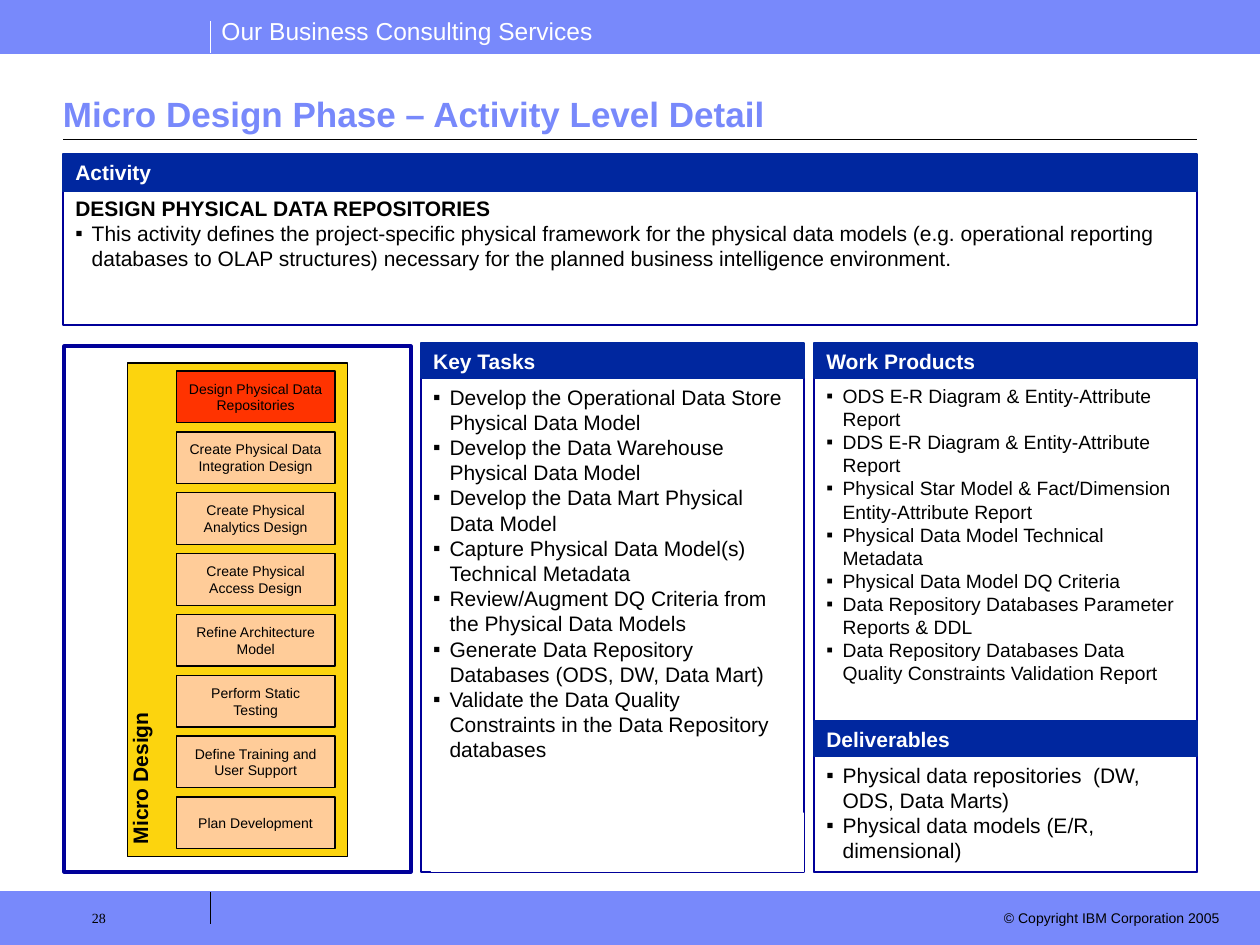
from lxml.etree import SubElement as Sub
from pptx import Presentation
from pptx.dml.color import RGBColor
from pptx.enum.shapes import MSO_CONNECTOR as Conn, MSO_SHAPE as Form
from pptx.enum.text import MSO_ANCHOR as Anchor, PP_ALIGN as Align
from pptx.oxml.ns import qn
from pptx.util import Inches, Pt

COLS, ROWS = 100, 75
BLUE, NAVY, EDGE = "7889FB", "00279F", "000099"
BLACK, WHITE = "000000", "FFFFFF"
GOLD, RED, PEACH = "FCD40E", "FF3300", "FFCC99"

STEPS = [
    "Design Physical Data Repositories",
    "Create Physical Data Integration Design",
    "Create Physical Analytics Design",
    "Create Physical Access Design",
    "Refine Architecture Model",
    "Perform Static Testing",
    "Define Training and User Support",
    "Plan Development",
]
GOAL = [
    "DESIGN PHYSICAL DATA REPOSITORIES",
    "This activity defines the project-specific physical framework for the "
    "physical data models (e.g. operational reporting databases to OLAP "
    "structures) necessary for the planned business intelligence environment.",
]
TASKS = [
    "Develop the Operational Data Store Physical Data Model",
    "Develop the Data Warehouse Physical Data Model",
    "Develop the Data Mart Physical Data Model",
    "Capture Physical Data Model(s) Technical Metadata",
    "Review/Augment DQ Criteria from the Physical Data Models",
    "Generate Data Repository Databases (ODS, DW, Data Mart)",
    "Validate the Data Quality Constraints in the Data Repository databases",
]
WORKS = [
    "ODS E-R Diagram & Entity-Attribute Report",
    "DDS E-R Diagram & Entity-Attribute Report",
    "Physical Star Model & Fact/Dimension Entity-Attribute Report",
    "Physical Data Model Technical Metadata",
    "Physical Data Model DQ Criteria",
    "Data Repository Databases Parameter Reports & DDL",
    "Data Repository Databases Data Quality Constraints Validation Report",
]
GOODS = [
    "Physical data repositories  (DW, ODS, Data Marts)",
    "Physical data models (E/R, dimensional)",
]


def tint(code):
    return RGBColor.from_string(code)


class Page:
    """Draws on one slide; boxes are (column, row, columns, rows)."""

    def __init__(self, deck):
        self.wide, self.high = deck.slide_width, deck.slide_height
        self.shapes = deck.slides.add_slide(deck.slide_layouts[6]).shapes

    def place(self, box):
        unit = (self.wide / COLS, self.high / ROWS) * 2
        return [round(n * u) for n, u in zip(box, unit)]

    def rect(self, box, fill=None, line=None, width=0.75):
        shape = self.shapes.add_shape(Form.RECTANGLE, *self.place(box))
        shape.shadow.inherit = False
        if fill:
            shape.fill.solid()
            shape.fill.fore_color.rgb = tint(fill)
        else:
            shape.fill.background()
        if line:
            shape.line.color.rgb = tint(line)
            shape.line.width = Pt(width)
        else:
            shape.line.fill.background()
        return shape

    def rule(self, start, end, color, width=0.75):
        line = self.shapes.add_connector(
            Conn.STRAIGHT, *self.place(start + end))
        line.line.color.rgb = tint(color)
        line.line.width = Pt(width)
        Sub(line._element.spPr, qn("a:effectLst"))

    def text(self, shape, lines, size=12, color=BLACK, bold=False,
             align=Align.LEFT, anchor=Anchor.TOP, font="Arial",
             inset=(0.1, 0.05, 0.1, 0.05), wrap=True):
        frame = shape.text_frame
        frame.text = "\n".join(lines)
        frame.word_wrap, frame.vertical_anchor = wrap, anchor
        (frame.margin_left, frame.margin_top, frame.margin_right,
         frame.margin_bottom) = map(Inches, inset)
        for para in frame.paragraphs:
            para.alignment = align
            for run in para.runs:
                run.font.size, run.font.bold = Pt(size), bold
                run.font.name = font
                run.font.color.rgb = tint(color)
        return frame

    def label(self, box, line, **style):
        shape = self.shapes.add_textbox(*self.place(box))
        return self.text(shape, [line], **style)

    def bullet(self, para):
        props = para._p.get_or_add_pPr()
        props.set("marL", str(Inches(0.13)))
        props.set("indent", str(-Inches(0.13)))
        Sub(Sub(props, qn("a:buClr")), qn("a:srgbClr"), val=BLACK)
        Sub(props, qn("a:buFont"), typeface="Arial")
        Sub(props, qn("a:buChar"), char="▪")

    def panel(self, box, head, lines, size=12, fill=None, band=2.8, lead=0):
        """A framed list under a title band; the first lead lines are bold."""
        left, top, wide, high = box
        body = self.rect((left, top + 2.8, wide, high - 2.8), fill, EDGE, 1)
        paras = self.text(body, lines, size).paragraphs
        for para in paras[:lead]:
            para.runs[0].font.bold = True
        for para in paras[lead:]:
            self.bullet(para)
        bar = self.rect((left, top, wide, band), NAVY, NAVY, 1)
        self.text(bar, [head], color=WHITE, bold=True)

    def chain(self, box, name, steps):
        """A column of steps with a sideways name; the first is marked."""
        left, top, wide, high = box
        back = self.rect(box, GOLD, BLACK)
        back.rotation = 180
        frame = self.text(back, [name], bold=True, align=Align.CENTER,
                          inset=(0.05, 0.1, 0, 0.05), wrap=False)
        frame._txBody.bodyPr.set("vert", "eaVert")
        tall, pad = 4.1, 0.65
        pitch = (high - 2 * pad - tall) / (len(steps) - 1)
        for i, step in enumerate(steps):
            cell = self.rect((left + 3.9, top + pad + i * pitch, 12.6, tall),
                             PEACH if i else RED, BLACK)
            self.text(cell, [step], 8, align=Align.CENTER,
                      anchor=Anchor.MIDDLE)


def main():
    deck = Presentation()
    deck.slide_width, deck.slide_height = Inches(10), Inches(7.5)
    page = Page(deck)

    for top, edge in ((70.8, 70.8), (0, 4.2)):
        page.rect((0, top, COLS, 4.2), BLUE, BLUE)
        page.rule((0, edge), (COLS, edge), BLUE, 0.5)
    page.label((16.6, 0.8, 31.7, 3.4), "Our Business Consulting Services",
               size=14, color=WHITE, wrap=False)
    page.rule((16.7, 4.2), (16.7, 1.7), WHITE)
    page.rule((16.7, 73.3), (16.7, 70.8), BLACK)
    page.label((78.3, 71.7, 19.5, 2.4), "© Copyright IBM Corporation 2005",
               size=8, align=Align.RIGHT)
    page.label((3.3, 71.5, 13.3, 3.5), "28", size=8, font="Times New Roman",
               inset=(0.4, 0.07, 0.1, 0.05))

    page.label((5, 6.7, 90, 4.5), "Micro Design Phase – Activity Level Detail",
               size=20, color=BLUE, bold=True, anchor=Anchor.BOTTOM,
               inset=(0, 0.05, 0, 0.05))
    page.rule((5, 11.1), (95, 11.1), BLACK)

    page.panel((5, 12.2, 90, 13.6), "Activity", GOAL, band=3, lead=1)
    page.panel((33.4, 27.2, 30.4, 42), "Key Tasks", TASKS, fill=WHITE)
    page.rect((34.2, 64.5, 29.6, 4.7), WHITE)
    page.panel((64.6, 27.2, 30.4, 42), "Work Products", WORKS, size=11)
    page.panel((64.6, 57.2, 30.4, 12), "Deliverables", GOODS)

    page.rect((5.1, 27.5, 27.5, 41.7), line=EDGE, width=2.25)
    page.chain((10.1, 28.8, 17.5, 39.2), "Micro Design", STEPS)
    deck.save("out.pptx")


if __name__ == "__main__":
    main()
